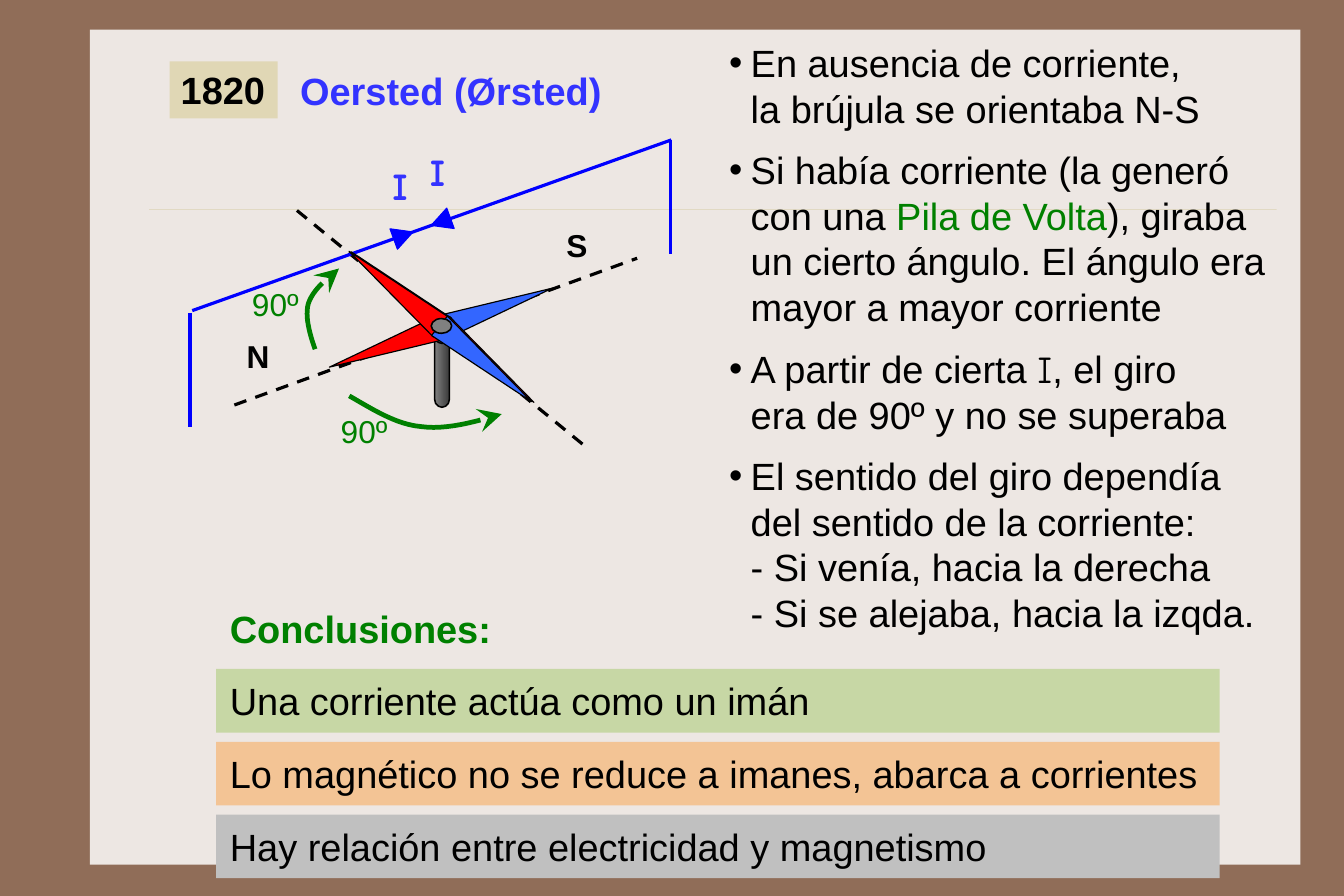
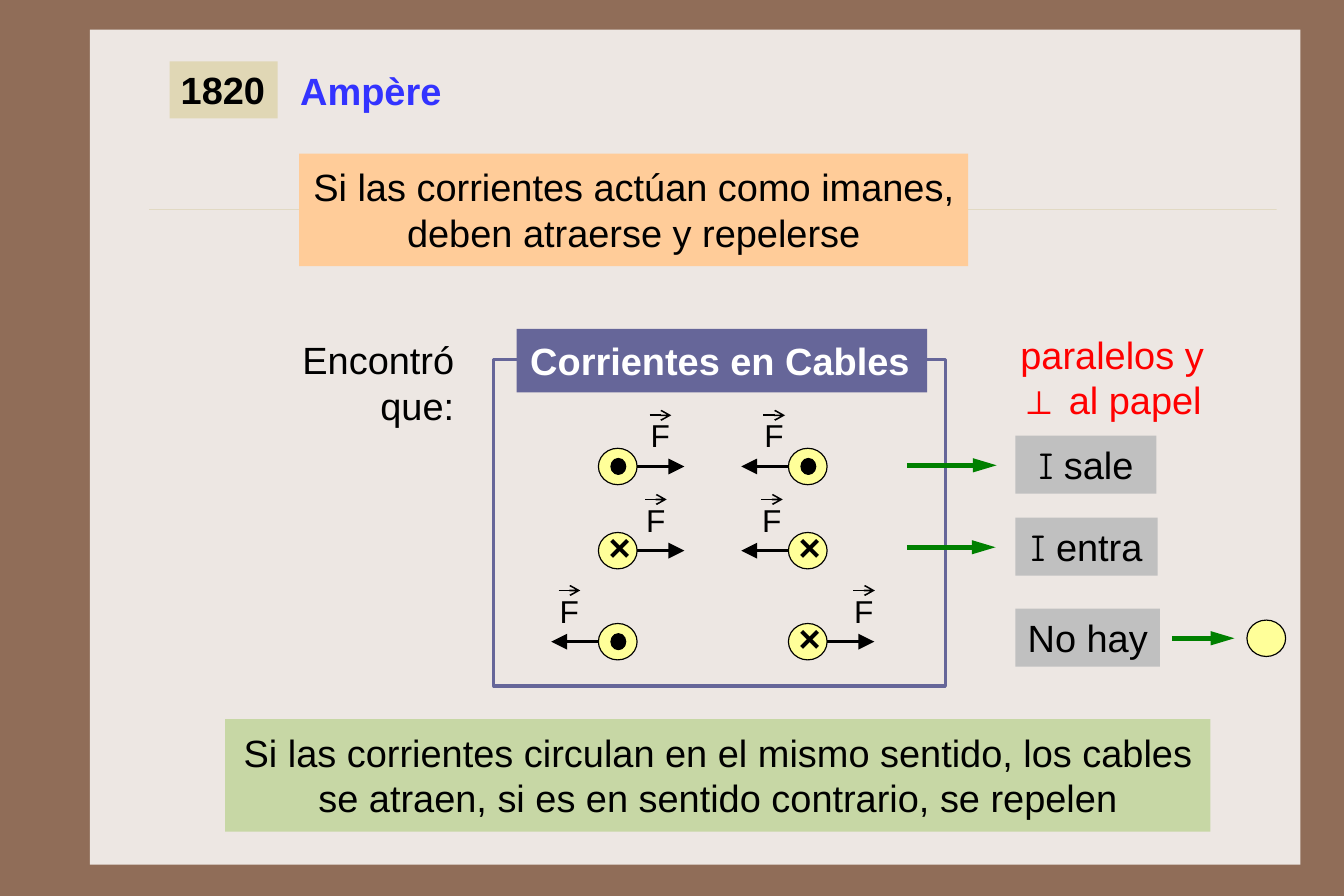
from math import cos, radians, sin

from lxml import etree
from pptx import Presentation
from pptx.dml.color import RGBColor
from pptx.enum.dml import MSO_LINE
from pptx.enum.shapes import MSO_CONNECTOR, MSO_SHAPE
from pptx.enum.text import MSO_ANCHOR, PP_ALIGN
from pptx.oxml.ns import qn
from pptx.util import Inches, Pt

RECT, OVAL, CAN = MSO_SHAPE.RECTANGLE, MSO_SHAPE.OVAL, MSO_SHAPE.CAN
TRIANGLE = MSO_SHAPE.ISOSCELES_TRIANGLE
STRAIGHT, DASH = MSO_CONNECTOR.STRAIGHT, MSO_LINE.DASH
TOP, MIDDLE = MSO_ANCHOR.TOP, MSO_ANCHOR.MIDDLE
LEFT, CENTER, RIGHT = PP_ALIGN.LEFT, PP_ALIGN.CENTER, PP_ALIGN.RIGHT

SLIDE_W, SLIDE_H = Pt(850.5), Pt(567)
# All lengths are columns and rows of a grid with square cells.
CELL = Inches(0.1)

BROWN, PAPER, RULE, SAND = "906D58", "EDE7E3", "CBBD83", "E0D7B5"
BLACK, WHITE, RED, GREEN, BLUE = "000000", "FFFFFF", "FF0000", "008000", "0000FF"
NAME_BLUE, NEEDLE_BLUE, INDIGO = "3333FF", "3366FF", "666699"
LIME, ORANGE, PEACH, GRAY = "C7D7A5", "F3C495", "FFCC99", "C0C0C0"
YELLOW, STEEL, DARK_STEEL = "FFFF99", "808080", "3B3B3B"

FORCE_HEAD = {"type": "triangle", "w": "lg", "len": "lg"}
LEGEND_HEAD = {"type": "triangle", "w": "med", "len": "lg"}
TURN_HEAD = {"type": "stealth", "w": "lg", "len": "lg"}
VECTOR_HEAD = {"type": "arrow"}

BAR_INSET, BODY_INSET, LABEL_INSET = (1.2, 0.8), (1, 0.9), (1, 0.5)
CURRENT = ("I", {"name": "Comic Neue"})
WIRE_W, WIRE_H = 3.4, 3.2


def grid(*cells):
    return [round(c * CELL) for c in cells]


def rgb(hex_color):
    return RGBColor.from_string(hex_color)


def style_line(line, color, width, dash=None, head=None, alpha=None):
    line.color.rgb = rgb(color)
    line.width = Pt(width)
    if dash:
        line.dash_style = dash
    ln = line._get_or_add_ln()
    if head:
        etree.SubElement(ln, qn("a:tailEnd"), head)
    if alpha:
        etree.SubElement(ln.find(".//" + qn("a:srgbClr")), qn("a:alpha"), val=str(alpha * 1000))


def add_box(slide, kind, box, fill=None, line=None, width=0.75, rotation=0):
    sp = slide.shapes.add_shape(kind, *grid(*box))
    sp.shadow.inherit = False
    sp.rotation = rotation
    if fill:
        sp.fill.solid()
        sp.fill.fore_color.rgb = rgb(fill)
    else:
        sp.fill.background()
    if line:
        style_line(sp.line, line, width)
    else:
        sp.line.fill.background()
    return sp


def add_line(slide, start, end, color=BLACK, width=2, **style):
    cxn = slide.shapes.add_connector(STRAIGHT, *grid(*start, *end))
    etree.SubElement(cxn._element.spPr, qn("a:effectLst"))
    style_line(cxn.line, color, width, **style)
    return cxn


def add_runs(p, runs, size, color, bold):
    """Add runs, each a string or a (string, font values) pair."""
    for run in runs:
        text, values = (run, {}) if isinstance(run, str) else run
        values = {"name": "Arial", "size": Pt(size), "bold": bold, **values}
        r = p.add_run()
        r.text = text
        r.font.color.rgb = rgb(values.pop("color", color))
        for key, value in values.items():
            setattr(r.font, key, value)


def add_text(slide, box, lines, fill=None, size=24, color=BLACK, bold=False,
             align=LEFT, anchor=TOP, inset=LABEL_INSET, wrap=True, spacing=None):
    """Write lines, each a string or a list of runs, on an optional fill."""
    if fill:
        sp = add_box(slide, RECT, box, fill)
    else:
        sp = slide.shapes.add_textbox(*grid(*box))
    tf = sp.text_frame
    dx, dy = grid(*inset)
    frame = {"word_wrap": wrap, "vertical_anchor": anchor, "margin_left": dx,
             "margin_right": dx, "margin_top": dy, "margin_bottom": dy}
    for key, value in frame.items():
        setattr(tf, key, value)
    for i, line in enumerate(lines):
        p = tf.add_paragraph() if i else tf.paragraphs[0]
        p.alignment = align
        p.line_spacing = spacing
        add_runs(p, [line] if isinstance(line, str) else line, size, color, bold)
    return sp


def add_bullet(slide, row, height, lines):
    """Write one bullet whose further lines hang under its text."""
    sp = add_text(slide, (63.1, row, 49.1, height), lines, inset=BODY_INSET)
    for i, p in enumerate(sp.text_frame.paragraphs):
        indent, = grid(1.9)
        pPr = p._p.get_or_add_pPr()
        pPr.set("marL", str(indent))
        if i == 0:
            pPr.set("indent", str(-indent))
            etree.SubElement(pPr, qn("a:buFont"), typeface="Arial")
            etree.SubElement(pPr, qn("a:buChar"), char="•")


def add_curve(slide, start, segments):
    """Draw a green arrow along cubic Bézier segments."""
    points, steps = [], 12
    p0 = start
    for p1, p2, p3 in segments:
        for i in range(1, steps + 1):
            t = i / steps
            weights = ((1 - t) ** 3, 3 * t * (1 - t) ** 2, 3 * t * t * (1 - t), t ** 3)
            points.append(grid(*(sum(w * c for w, c in zip(weights, axis))
                                 for axis in zip(p0, p1, p2, p3))))
        p0 = p3
    builder = slide.shapes.build_freeform(*grid(*start), scale=1.0)
    builder.add_line_segments(points, close=False)
    sp = builder.convert_to_shape()
    sp.shadow.inherit = False
    sp.fill.background()
    style_line(sp.line, GREEN, 3, head=TURN_HEAD)


def add_needle(slide, x, y, angle):
    """Draw a compass needle whose red half points to angle."""
    width, length = 2.2, 10.5
    for color, turn in ((RED, angle), (NEEDLE_BLUE, (angle + 180) % 360)):
        cx = x + 5.15 * sin(radians(turn))
        cy = y - 5.15 * cos(radians(turn))
        add_box(slide, TRIANGLE, (cx - width / 2, cy - length / 2, width, length),
                color, BLACK, rotation=turn)


def add_current(slide, x, y, angle):
    add_text(slide, (x, y, 3.8, 5), [[CURRENT]], color=NAME_BLUE, bold=True, wrap=False)
    add_box(slide, TRIANGLE, (x + 1, y + 6, 1.9, 1.8), BLUE, BLUE, rotation=angle)


def add_wire(slide, x, y, outward, direction, label_x):
    """Draw a wire's section with its force arrow and the vector label F."""
    add_box(slide, OVAL, (x, y, WIRE_W, WIRE_H), YELLOW, BLACK)
    if outward:
        add_box(slide, OVAL, (x + 1.1, y + 0.9, 1.3, 1.4), BLACK, BLACK)
    else:
        add_text(slide, (x - 0.1, y - 1.3, 3.8, 5), ["×"], bold=True, wrap=False)
    edge, mid = x + (WIRE_W if direction > 0 else 0), y + WIRE_H / 2
    add_line(slide, (edge, mid), (edge + 4.15 * direction, mid), head=FORCE_HEAD)
    top = y - 3.3
    add_text(slide, (label_x, top, 3.7, 4.3), ["F"], size=20, wrap=False)
    add_line(slide, (label_x + 0.9, top + 0.4), (label_x + 2.8, top + 0.4),
             width=1, head=VECTOR_HEAD)


def build_master(prs, slide):
    """Give every slide the same background, paper and rule."""
    master = prs.slide_master
    master.background.fill.solid()
    master.background.fill.fore_color.rgb = rgb(BROWN)
    paper = add_box(slide, RECT, (7.9, 2.6, 106.4, 73.4), PAPER)
    rule = add_line(slide, (13.1, 18.4), (112.2, 18.4), RULE, 0.25, alpha=50)
    for shape in (paper, rule):
        master.element.cSld.spTree.append(shape._element)


def add_title(slide, name):
    add_text(slide, (14.9, 5.4, 9.5, 5), ["1820"], SAND, bold=True, wrap=False)
    add_text(slide, (25.4, 5.45, 35, 5), [name], color=NAME_BLUE, bold=True)


def draw_experiment(slide):
    can = add_box(slide, CAN, (38.2, 28.8, 1.3, 7), STEEL, BLACK, 1)
    can.adjustments[0] = 1.07
    can.fill.gradient()
    can.fill.gradient_angle = 0
    for stop, color in zip(can.fill.gradient_stops, (STEEL, DARK_STEEL)):
        stop.color.rgb = rgb(color)
    for start, end in (((26.1, 18.5), (51.4, 39.2)), ((20.6, 35.6), (56, 22.7))):
        add_line(slide, start, end, dash=DASH)
    for start, end in (((16.9, 27.3), (59, 12.3)), ((16.7, 27.5), (16.7, 37.5)),
                       ((58.9, 12.3), (58.9, 22.3))):
        add_line(slide, start, end, BLUE)
    for x, y, angle in ((38.75, 28.8, 250.5), (38.9, 28.75, 129.5), (38.7, 28.7, 309.5)):
        add_needle(slide, x, y, angle)
    add_box(slide, OVAL, (37.9, 28, 1.8, 1.3), STEEL, BLACK, 1)
    for pole, x, y in (("N", 20.7, 29.1), ("S", 48.8, 19.4)):
        add_text(slide, (x, y, 4, 4.3), [pole], size=20, bold=True, wrap=False)
    for x, y, angle in ((36.8, 12.6, 250), (33.5, 13.8, 70)):
        add_current(slide, x, y, angle)
    add_curve(slide, (30.7, 34.8), [((32.8, 36), (34.8, 37.3), (37, 37.5)),
                                    ((39.2, 37.8), (41.7, 37.1), (44.1, 36.4))])
    add_curve(slide, (27.7, 30.7), [((27.2, 29.3), (26.8, 27.8), (27.1, 26.7)),
                                    ((27.5, 25.5), (28.6, 24.6), (29.8, 23.6))])
    for x, y in ((28.9, 36.8), (21.1, 25.7)):
        add_text(slide, (x, y, 6.2, 3.3), ["90º"], size=20, color=GREEN, align=CENTER,
                 wrap=False, spacing=Pt(16))


def build_oersted(slide):
    add_title(slide, "Oersted (Ørsted)")
    draw_experiment(slide)
    add_bullet(slide, 2.6, 9.9, ["En ausencia de corriente,", "la brújula se orientaba N-S"])
    add_bullet(slide, 12, 18, [
        "Si había corriente (la generó",
        ["con una ", ("Pila de Volta", {"color": GREEN}), "), giraba"],
        "un cierto ángulo. El ángulo era", "mayor a mayor corriente"])
    add_bullet(slide, 29.5, 9.9, [["A partir de cierta ", CURRENT, ", el giro"],
                                  "era de 90º y no se superaba"])
    add_bullet(slide, 38.9, 18, [
        "El sentido del giro dependía", "del sentido de la corriente:",
        "- Si venía, hacia la derecha", "- Si se alejaba, hacia la izqda."])
    bar = {"anchor": MIDDLE, "inset": BAR_INSET}
    add_text(slide, (19, 52.4, 25.7, 5.6), ["Conclusiones:"], color=GREEN, bold=True, **bar)
    conclusions = (("Una corriente actúa como un imán", LIME),
                   ("Lo magnético no se reduce a imanes, abarca a corrientes", ORANGE),
                   ("Hay relación entre electricidad y magnetismo", GRAY))
    for i, (text, fill) in enumerate(conclusions):
        add_text(slide, (19, 58.8 + 6.4 * i, 88.2, 5.6), [text], fill, **bar)


def build_ampere(slide):
    add_title(slide, "Ampère")
    body = {"inset": BODY_INSET}
    add_text(slide, (26.3, 13.5, 58.8, 9.9),
             ["Si las corrientes actúan como imanes, deben atraerse y repelerse"],
             PEACH, align=CENTER, **body)
    add_text(slide, (25.4, 28.7, 15.5, 9.9), ["Encontró que:"], align=RIGHT, **body)
    add_box(slide, RECT, (43.4, 31.6, 39.7, 28.7), line=INDIGO, width=2)
    add_text(slide, (45.4, 28.9, 36.1, 5.6), ["Corrientes en Cables"], INDIGO, color=WHITE,
             bold=True, anchor=MIDDLE, inset=BAR_INSET, wrap=False)

    left, right = 52.6, 69.3
    wires = ((39.4, (True, 1, 56.2), (True, -1, 66.2)),
             (46.8, (False, 1, 55.8), (False, -1, 66)),
             (54.8, (True, -1, 48.2), (False, 1, 74.1)))
    for y, *pair in wires:
        for x, wire in zip((left, right), pair):
            add_wire(slide, x, y, *wire)

    add_text(slide, (88.7, 28.2, 21.5, 9.9), ["paralelos y", "⊥ al papel"], color=RED, **body)
    legend = ((38.3, 12.4, [CURRENT, " sale"], (79.7, 87.6)),
              (45.5, 12.5, [CURRENT, " entra"], (79.7, 87.5)),
              (53.5, 12.7, ["No hay"], (103, 108.5)))
    for y, width, runs, (start, end) in legend:
        add_text(slide, (89.25, y, width, 5.1), [runs], GRAY, align=CENTER, anchor=MIDDLE,
                 wrap=False, **body)
        add_line(slide, (start, y + 2.6), (end, y + 2.6), GREEN, 3, head=LEGEND_HEAD)
    add_box(slide, OVAL, (109.6, 54.5, WIRE_W, WIRE_H), YELLOW, BLACK)
    add_text(slide, (19.8, 63.2, 86.6, 9.9),
             ["Si las corrientes circulan en el mismo sentido, los cables se atraen, "
              "si es en sentido contrario, se repelen"], LIME, align=CENTER, **body)


def main():
    prs = Presentation()
    prs.slide_width, prs.slide_height = SLIDE_W, SLIDE_H
    blank = prs.slide_layouts[6]
    oersted, ampere = (prs.slides.add_slide(blank) for _ in range(2))
    build_master(prs, oersted)
    build_oersted(oersted)
    build_ampere(ampere)
    prs.save("out.pptx")


if __name__ == "__main__":
    main()
